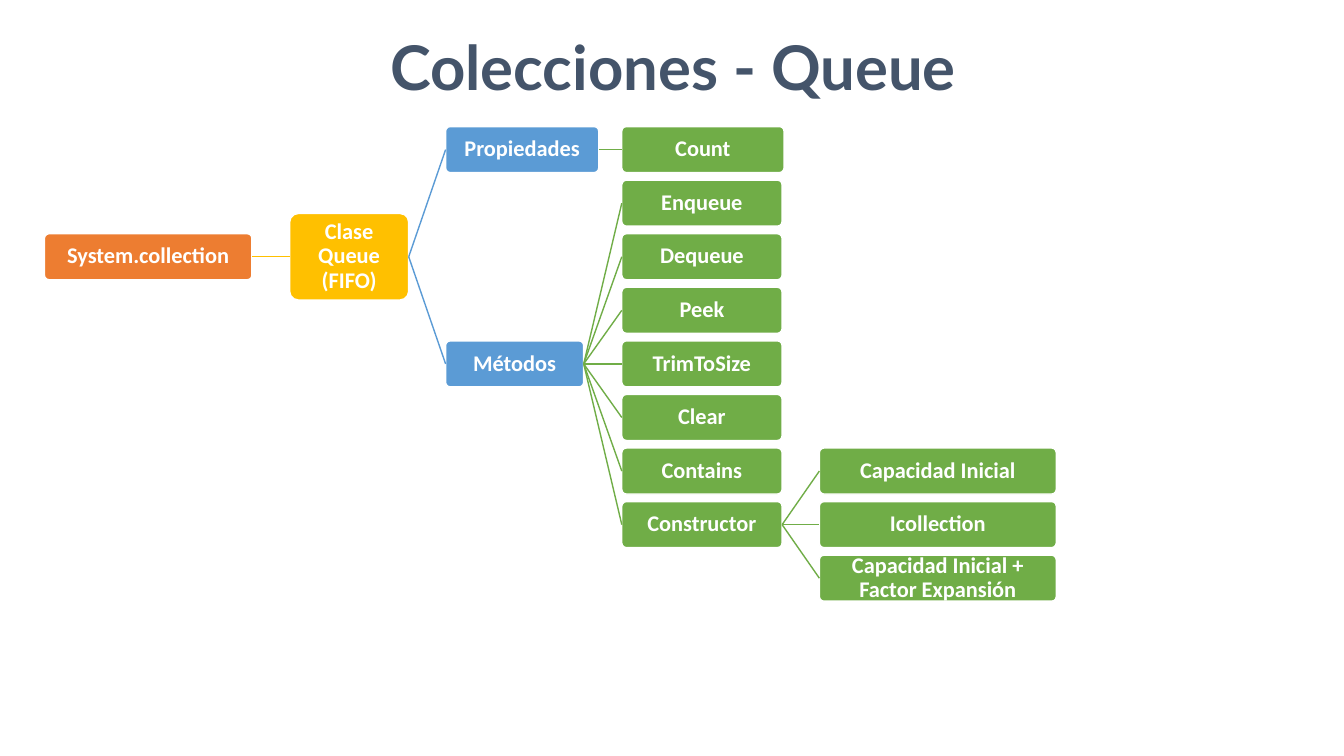
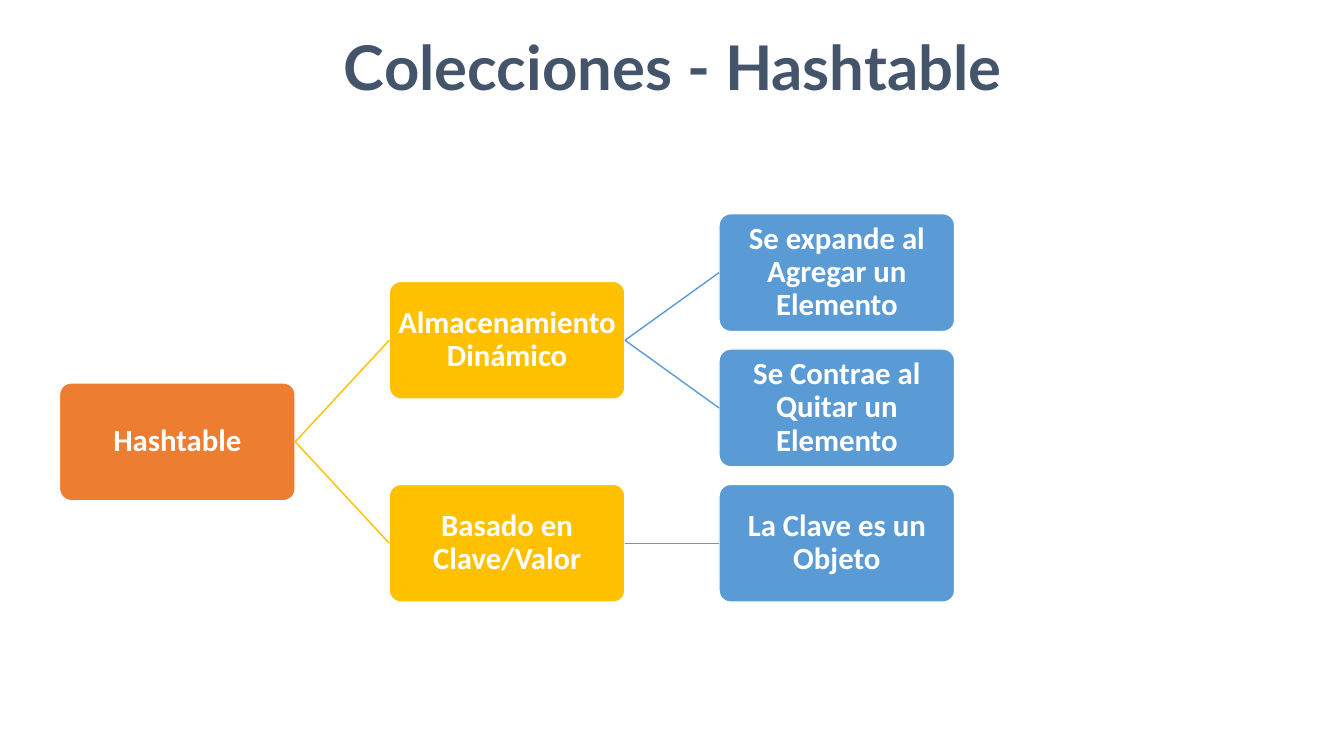
"""Build two slides with left-to-right trees of the Queue and Hashtable collections."""
from lxml import etree
from pptx import Presentation
from pptx import util as u
from pptx.dml.color import RGBColor
from pptx.enum import shapes, text
from pptx.oxml import ns

Cm, Pt = u.Cm, u.Pt
ORANGE, GOLD, BLUE, GREEN = "ED7D31", "FFC000", "5B9BD5", "70AD47"
WHITE, TITLE_COLOR = "FFFFFF", "44546A"


def rgb(color):
    return RGBColor.from_string(color)


def write(frame, words, font, size, color, inset_x, inset_y):
    frame.word_wrap = True
    frame.vertical_anchor = text.MSO_ANCHOR.MIDDLE
    frame.margin_left = frame.margin_right = Cm(inset_x)
    frame.margin_top = frame.margin_bottom = Cm(inset_y)
    paragraph = frame.paragraphs[0]
    paragraph.alignment = text.PP_ALIGN.CENTER
    run = paragraph.add_run()
    run.text = words
    run.font.name = font
    run.font.size = Pt(size)
    run.font.bold = True
    run.font.color.rgb = rgb(color)
    return paragraph


METHODS = ["Enqueue", "Dequeue", "Peek", "TrimToSize", "Clear", "Contains", "Constructor"]
CONSTRUCTORS = ["Capacidad Inicial", "Icollection", "Capacidad Inicial + Factor Expansión"]

# Each node: label, parent, row, left, width, height, color
queue_nodes = [
    ("System.collection", None, 2, 1.12, 5.23, 1.16, ORANGE),
    ("Clase Queue (FIFO)", "System.collection", 2, 7.3, 3, 2.18, GOLD),
    ("Propiedades", "Clase Queue (FIFO)", 0, 11.23, 3.86, 1.16, BLUE),
    ("Count", "Propiedades", 0, 15.67, 4.09, 1.16, GREEN),
    ("Métodos", "Clase Queue (FIFO)", 4, 11.23, 3.48, 1.16, BLUE),
]
for row, method in enumerate(METHODS, start=1):
    queue_nodes.append((method, "Métodos", row, 15.67, 4.04, 1.16, GREEN))
for row, constructor in enumerate(CONSTRUCTORS, start=6):
    queue_nodes.append((constructor, "Constructor", row, 20.65, 5.97, 1.16, GREEN))

hashtable_nodes = [
    (label, parent, row, 1.5 + 8.31 * level, 5.94, 2.97, [ORANGE, GOLD, BLUE][level])
    for label, parent, row, level in [
        ("Hashtable", None, 1.25, 0),
        ("Almacenamiento Dinámico", "Hashtable", 0.5, 1),
        ("Se expande al Agregar un Elemento", "Almacenamiento Dinámico", 0, 2),
        ("Se Contrae al Quitar un Elemento", "Almacenamiento Dinámico", 1, 2),
        ("Basado en Clave/Valor", "Hashtable", 2, 1),
        ("La Clave es un Objeto", "Basado en Clave/Valor", 2, 2),
    ]
]

topics = [
    ("Colecciones - Queue", queue_nodes, 3.77, 1.35, 16, 0.08),
    ("Colecciones - Hashtable", hashtable_nodes, 6.87, 3.41, 22, 0.14),
]

prs = Presentation()
prs.slide_width, prs.slide_height = Cm(33.87), Cm(19.05)

for heading, nodes, first_row, row_pitch, size, inset in topics:
    slide = prs.slides.add_slide(prs.slide_layouts[5])
    title = slide.shapes.title
    title.left, title.top, title.width, title.height = Cm(0.33), Cm(0.66), Cm(33.27), Cm(2)
    write(title.text_frame, heading, "Lato", 44, TITLE_COLOR, 0.13, 0.05)
    title.text_frame.auto_size = text.MSO_AUTO_SIZE.SHAPE_TO_FIT_TEXT

    boxes = {}
    for label, parent, row, left, width, height, color in nodes:
        top = first_row + row * row_pitch - height / 2
        box = slide.shapes.add_shape(
            shapes.MSO_SHAPE.ROUNDED_RECTANGLE, Cm(left), Cm(top), Cm(width), Cm(height))
        box.adjustments[0] = 0.1
        box.shadow.inherit = False
        box.fill.solid()
        box.fill.fore_color.rgb = rgb(color)
        box.line.color.rgb = rgb(WHITE)
        box.line.width = Pt(1)
        write(box.text_frame, label, "Calibri", size, WHITE, inset, inset).line_spacing = 0.9
        boxes[label] = box

        if parent:
            branch = slide.shapes.add_connector(shapes.MSO_CONNECTOR.STRAIGHT, 0, 0, 0, 0)
            branch.begin_connect(boxes[parent], 3)
            branch.end_connect(box, 1)
            branch.line.color.rgb = rgb(color)
            branch.line.width = Pt(1)
            etree.SubElement(branch._element.spPr, ns.qn("a:effectLst"))

prs.save("out.pptx")
